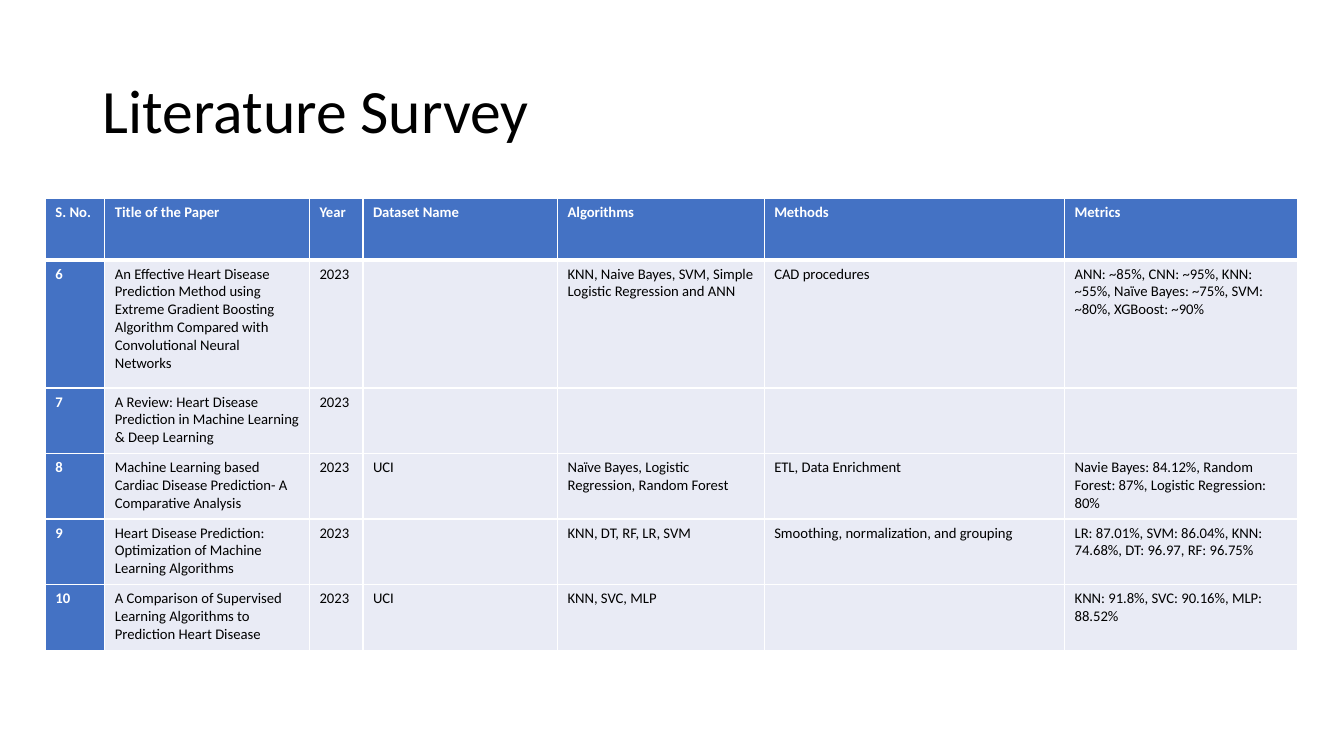
from lxml import etree
from pptx import Presentation
from pptx import util as u
from pptx.dml.color import RGBColor
from pptx.enum import text
from pptx.oxml import ns

COLORS = {"ink": "000000", "light": "FFFFFF", "accent": "4472C4", "body": "E9EBF5"}
FONT = "Calibri"

COLUMN_WIDTHS = [0.59, 2.03, 0.53, 1.93, 2.05, 2.98, 2.31]
ROW_HEIGHTS = [0.61, 1.27, 0.65, 0.65, 0.65, 0.65]
HEADINGS = ["S. No.", "Title of the Paper", "Year", "Dataset Name",
            "Algorithms", "Methods", "Metrics"]
PAPERS = [
    ["6", "An Effective Heart Disease Prediction Method using Extreme Gradient "
     "Boosting Algorithm Compared with Convolutional Neural Networks", "2023", "",
     "KNN, Naive Bayes, SVM, Simple Logistic Regression and ANN", "CAD procedures",
     "ANN: ~85%, CNN: ~95%, KNN: ~55%, Naïve Bayes: ~75%, SVM: ~80%, XGBoost: ~90%"],
    ["7", "A Review: Heart Disease Prediction in Machine Learning & Deep Learning",
     "2023", "", "", "", ""],
    ["8", "Machine Learning based Cardiac Disease Prediction- A Comparative Analysis",
     "2023", "UCI", "Naïve Bayes, Logistic Regression, Random Forest",
     "ETL, Data Enrichment",
     "Navie Bayes: 84.12%, Random Forest: 87%, Logistic Regression: 80%"],
    ["9", "Heart Disease Prediction: Optimization of Machine Learning Algorithms",
     "2023", "", "KNN, DT, RF, LR, SVM", "Smoothing, normalization, and grouping",
     "LR: 87.01%, SVM: 86.04%, KNN: 74.68%, DT: 96.97, RF: 96.75%"],
    ["10", "A Comparison of Supervised Learning Algorithms to Prediction Heart Disease",
     "2023", "UCI", "KNN, SVC, MLP", "", "KNN: 91.8%, SVC: 90.16%, MLP: 88.52%"],
]


def write(frame, words, *, size, color="ink", bold=False, spacing=1.0):
    para = frame.paragraphs[0]
    para.line_spacing = spacing
    span = para.add_run()
    span.text = words
    span.font.name = FONT
    span.font.size = u.Pt(size)
    span.font.bold = bold
    span.font.color.rgb = RGBColor.from_string(COLORS[color])


def set_borders(cell, color, **widths):
    """Draw the L, R, T and B edges in points; call before filling the cell."""
    properties = cell._tc.get_or_add_tcPr()
    for side in "LRTB":
        line = etree.SubElement(properties, ns.qn(f"a:ln{side}"),
                                w=str(u.Pt(widths.get(side, 1))))
        fill = etree.SubElement(line, ns.qn("a:solidFill"))
        etree.SubElement(fill, ns.qn("a:srgbClr"), val=COLORS[color])


def add_title(page, words, left, top, width, height):
    box = page.shapes.add_textbox(*map(u.Inches, (left, top, width, height)))
    frame = box.text_frame
    frame.word_wrap = True
    frame.vertical_anchor = text.MSO_ANCHOR.MIDDLE
    write(frame, words, size=44, spacing=0.9)


def add_survey(page, left, top):
    """Table whose first row and first column are accented."""
    rows = [HEADINGS, *PAPERS]
    size = sum(COLUMN_WIDTHS), sum(ROW_HEIGHTS)
    table = page.shapes.add_table(len(rows), len(HEADINGS),
                                  *map(u.Inches, (left, top, *size))).table
    for column, width in zip(table.columns, COLUMN_WIDTHS):
        column.width = u.Inches(width)
    for row, height in zip(table.rows, ROW_HEIGHTS):
        row.height = u.Inches(height)
    for r, row in enumerate(rows):
        for c, words in enumerate(row):
            cell = table.cell(r, c)
            accented = r == 0 or c == 0
            set_borders(cell, "light", T=3 if r == 1 else 1, B=3 if r == 0 else 1)
            cell.fill.solid()
            cell.fill.fore_color.rgb = RGBColor.from_string(
                COLORS["accent" if accented else "body"])
            if words:
                write(cell.text_frame, words, size=10.5, bold=accented,
                      color="light" if accented else "ink")


def main():
    deck = Presentation()
    deck.slide_width, deck.slide_height = u.Inches(13.33), u.Inches(7.5)
    page = deck.slides.add_slide(deck.slide_layouts[6])
    add_title(page, "Literature Survey", 0.92, 0.4, 11.5, 1.45)
    add_survey(page, 0.45, 1.97)
    deck.save("out.pptx")


if __name__ == "__main__":
    main()
